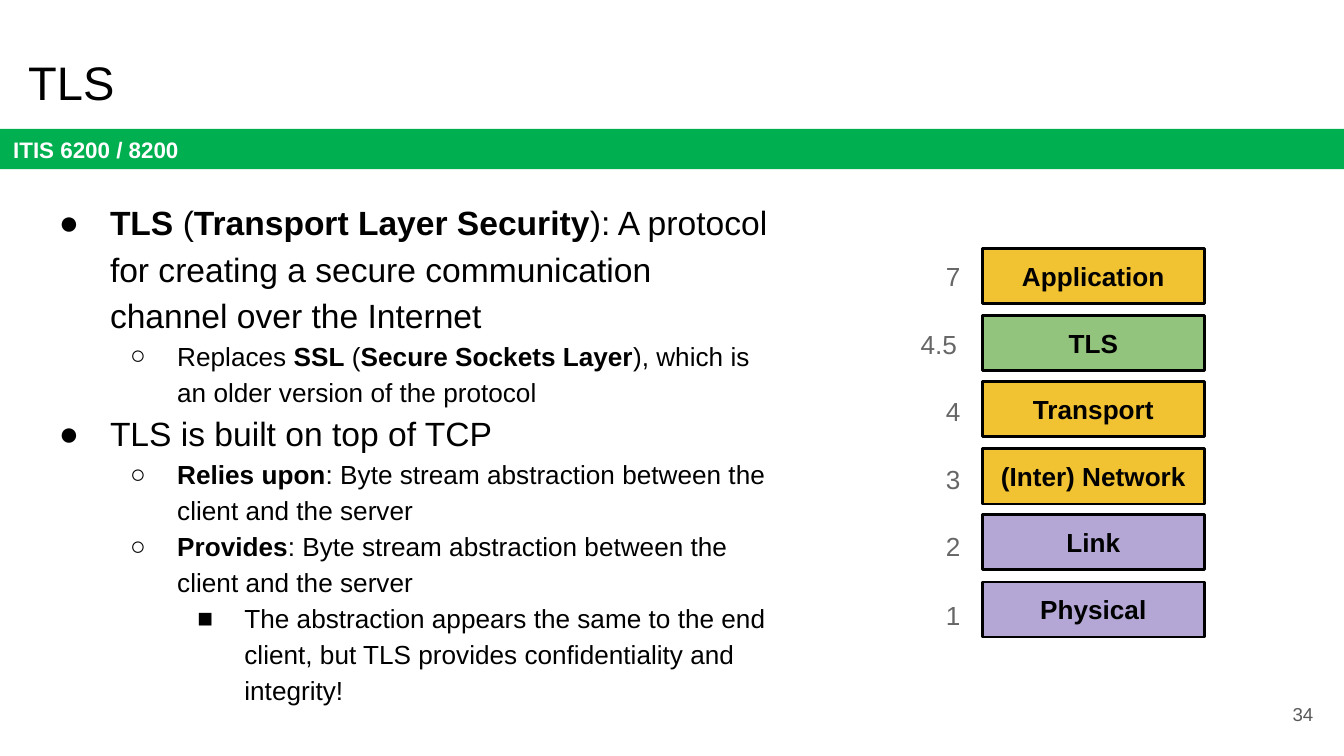
from lxml import etree
from pptx import Presentation
from pptx import util as u
from pptx.dml.color import RGBColor
from pptx.enum import shapes, text
from pptx.oxml.ns import qn

PX = 9144  # 100 px to the inch
FONT = "Arial"
BLACK, WHITE, GREEN = "000000", "FFFFFF", "00B050"
GOLD, LEAF, LILAC = "F1C232", "93C47D", "B4A7D6"
LABEL_GREY, NUMBER_GREY = "666666", "595959"
LEFT, CENTER, RIGHT = (text.PP_ALIGN.LEFT, text.PP_ALIGN.CENTER,
                       text.PP_ALIGN.RIGHT)
TOP, MIDDLE, BOTTOM = (text.MSO_ANCHOR.TOP, text.MSO_ANCHOR.MIDDLE,
                       text.MSO_ANCHOR.BOTTOM)

# Bullet, left margin, hanging indent, size for each outline level
LEVELS = [("●", 50, 38, 18), ("○", 100, 35, 14), ("■", 150, 35, 14)]

# Outline level and wording; ** switches bold on and off
POINTS = [
    (0, "**TLS** (**Transport Layer Security**): A protocol for creating "
        "a secure communication channel over the Internet"),
    (1, "Replaces **SSL** (**Secure Sockets Layer**), which is an older "
        "version of the protocol"),
    (0, "TLS is built on top of TCP"),
    (1, "**Relies upon**: Byte stream abstraction between the client and "
        "the server"),
    (1, "**Provides**: Byte stream abstraction between the client and "
        "the server"),
    (2, "The abstraction appears the same to the end client, but TLS "
        "provides confidentiality and integrity!"),
]

LAYERS = [("7", "Application", GOLD), ("4.5", "TLS", LEAF),
          ("4", "Transport", GOLD), ("3", "(Inter) Network", GOLD),
          ("2", "Link", LILAC), ("1", "Physical", LILAC)]


def color(hex_string):
    return RGBColor.from_string(hex_string)


def emu(*lengths):
    return [u.Emu(length * PX) for length in lengths]


def set_font(paragraph, size, ink, bold=None):
    font = paragraph.font
    font.name, font.size, font.bold = FONT, u.Pt(size), bold
    font.color.rgb = color(ink)


def prepare_frame(shape, anchor):
    frame = shape.text_frame
    frame.word_wrap = True
    frame.auto_size = text.MSO_AUTO_SIZE.NONE
    frame.vertical_anchor = anchor
    (frame.margin_left, frame.margin_top,
     frame.margin_right, frame.margin_bottom) = emu(10, 10, 10, 10)
    return frame


def write(shape, words, size, ink, align=LEFT, anchor=TOP, bold=None):
    paragraph = prepare_frame(shape, anchor).paragraphs[0]
    paragraph.text = words
    paragraph.alignment = align
    set_font(paragraph, size, ink, bold)


def add_label(slide, box, words, size, ink, anchor=TOP):
    label = slide.shapes.add_textbox(*emu(*box))
    write(label, words, size, ink, RIGHT, anchor)


def add_box(slide, box, fill, outline=None):
    rect = slide.shapes.add_shape(shapes.MSO_SHAPE.RECTANGLE, *emu(*box))
    rect.shadow.inherit = False
    rect.fill.solid()
    rect.fill.fore_color.rgb = color(fill)
    if outline:
        rect.line.color.rgb = color(outline)
        rect.line.width = u.Pt(1.5)
    else:
        rect.line.fill.background()
    return rect


def add_header(slide, box):
    left, top, width, height = box
    # Course band along the foot of the header
    band = add_box(slide, (left, top + height - 30, width, 30), GREEN)
    write(band, "ITIS 6200 / 8200", 12, WHITE, anchor=MIDDLE, bold=True)
    # Title above the band
    title = slide.shapes.title
    title.left, title.top, title.width, title.height = emu(
        left + 11, top + 29, 932, 63)
    write(title, "TLS", 25.2, BLACK, anchor=BOTTOM)


def set_bullet(paragraph, level):
    bullet, margin, hang, size = LEVELS[level]
    paragraph.level = level
    paragraph.line_spacing = 1.15
    properties = paragraph._p.get_or_add_pPr()
    properties.set("marL", str(margin * PX))
    properties.set("indent", str(-hang * PX))
    tint = etree.SubElement(properties, qn("a:buClr"))
    etree.SubElement(tint, qn("a:srgbClr"), val=BLACK)
    etree.SubElement(properties, qn("a:buFont"), typeface=FONT)
    etree.SubElement(properties, qn("a:buChar"), char=bullet)
    set_font(paragraph, size, BLACK)


def add_points(slide, box):
    frame = prepare_frame(slide.shapes.add_textbox(*emu(*box)), TOP)
    for i, (level, words) in enumerate(POINTS):
        paragraph = frame.add_paragraph() if i else frame.paragraphs[0]
        set_bullet(paragraph, level)
        for j, part in enumerate(words.split("**")):
            if part:
                run = paragraph.add_run()
                run.text = part
                run.font.bold = j % 2 == 1


def add_layer_stack(slide, box):
    left, top, width, height = box
    layer_width, layer_height = 165, 41
    last = len(LAYERS) - 1
    for i, (number, name, fill) in enumerate(LAYERS):
        # Layers fill the height evenly
        layer_top = top + round((height - layer_height) * i / last)
        layer = add_box(slide, (left + width - layer_width, layer_top,
                                layer_width, layer_height), fill, BLACK)
        write(layer, name, 14, BLACK, CENTER, MIDDLE, True)
        # Numbers share a right edge and are spaced slightly wider
        label_width = 53 if len(number) > 1 else 28
        label_top = top - 1 + 252 * i // last
        add_label(slide, (left + 53 - label_width, label_top,
                          label_width, 44), number, 14, LABEL_GREY)


def main():
    deck = Presentation()
    deck.slide_width = u.Inches(10)
    deck.slide_height = deck.slide_width * 9 // 16
    slide = deck.slides.add_slide(deck.slide_layouts[5])
    add_header(slide, (0, 0, 1000, 126))
    add_points(slide, (22, 136, 562, 412))
    add_layer_stack(slide, (669, 185, 227, 289))
    add_label(slide, (927, 510, 60, 43), "34", 10, NUMBER_GREY, MIDDLE)
    deck.save("out.pptx")


if __name__ == "__main__":
    main()
